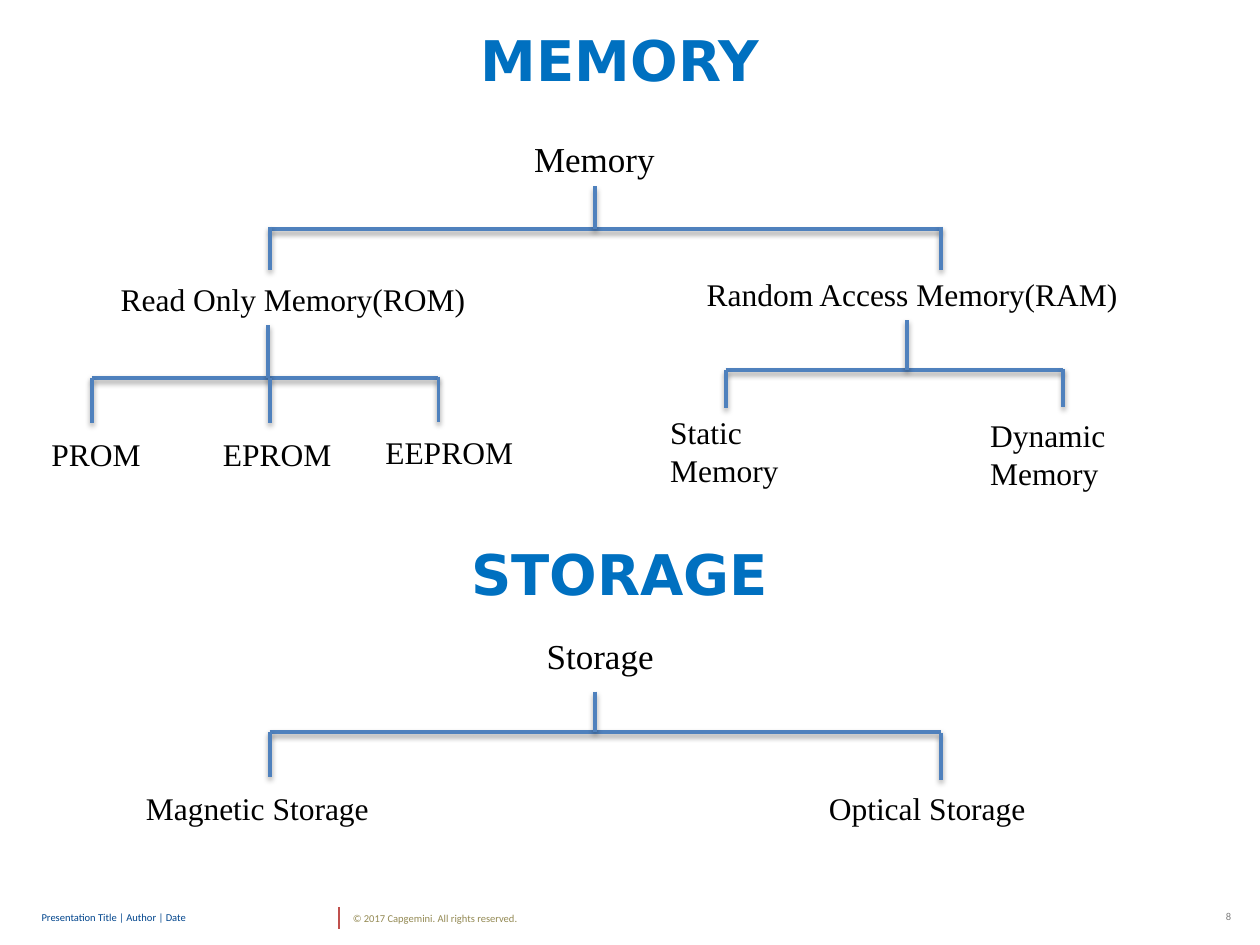
from lxml import etree
from pptx import Presentation
from pptx.dml.color import RGBColor
from pptx.enum.shapes import MSO_CONNECTOR
from pptx.enum.text import MSO_ANCHOR, MSO_AUTO_SIZE, PP_ALIGN
from pptx.oxml import parse_xml
from pptx.oxml.ns import nsdecls, qn
from pptx.util import Inches, Pt

STRAIGHT = MSO_CONNECTOR.STRAIGHT
TOP, MIDDLE = MSO_ANCHOR.TOP, MSO_ANCHOR.MIDDLE
LEFT, CENTER, RIGHT = PP_ALIGN.LEFT, PP_ALIGN.CENTER, PP_ALIGN.RIGHT

BLACK = RGBColor(0x00, 0x00, 0x00)
HEADING_BLUE = RGBColor(0x00, 0x70, 0xC0)
BRANCH_BLUE = RGBColor(0x4F, 0x81, 0xBD)
FOOTER_BLUE = RGBColor(0x00, 0x45, 0x8D)
FOOTER_OLIVE = RGBColor(0x94, 0x8A, 0x54)
FOOTER_RED = RGBColor(0xC0, 0x50, 0x4D)
PAGE_GRAY = RGBColor(0x80, 0x80, 0x80)

BRANCH_SHADOW = (
    f'<a:effectLst {nsdecls("a")}>'
    '<a:outerShdw blurRad="39370" dist="22860" dir="5400000" rotWithShape="0">'
    '<a:srgbClr val="000000"><a:alpha val="35000"/></a:srgbClr>'
    '</a:outerShdw></a:effectLst>'
)

prs = Presentation()
prs.slide_width, prs.slide_height = Inches(10), Inches(7.5)
slide = prs.slides.add_slide(prs.slide_layouts[5])


def write(shape, text, font_name, size, color, align=LEFT, anchor=TOP,
          bold=False, wrap=True, spacing=None):
    frame = shape.text_frame
    frame.word_wrap = wrap
    frame.auto_size = MSO_AUTO_SIZE.NONE
    frame.vertical_anchor = anchor
    paragraph = frame.paragraphs[0]
    paragraph.alignment = align
    if spacing:
        paragraph.line_spacing = spacing
    run = paragraph.add_run()
    run.text = text
    run.font.name, run.font.size, run.font.bold = font_name, Pt(size), bold
    run.font.color.rgb = color


def draw_line(x1, y1, x2, y2, color, width, shadow=True):
    line = slide.shapes.add_connector(
        STRAIGHT, Inches(x1), Inches(y1), Inches(x2), Inches(y2))
    line.line.color.rgb = color
    line.line.width = Pt(width)
    properties = line._element.spPr
    if shadow:
        properties.append(parse_xml(BRANCH_SHADOW))
    else:
        etree.SubElement(properties, qn("a:effectLst"))


# Headings
memory_heading = slide.shapes.title
memory_heading.left, memory_heading.top = Inches(0.42), Inches(0.21)
memory_heading.width, memory_heading.height = Inches(9), Inches(0.75)
write(memory_heading, "MEMORY", "DejaVu Sans", 32, HEADING_BLUE, CENTER,
      bold=True, spacing=0.9)
storage_heading = slide.shapes.add_textbox(
    Inches(0.42), Inches(4.17), Inches(9), Inches(0.76))
write(storage_heading, "STORAGE", "DejaVu Sans", 32, HEADING_BLUE, CENTER,
      MIDDLE, bold=True)

# Tree labels: text, left, top, width, height, size
labels = [
    ("Memory", 4.14, 1.04, 1.37, 0.44, 20),
    ("Read Only Memory(ROM)", 0.86, 2.17, 3, 0.4, 18),
    ("Random Access Memory(RAM)", 5.51, 2.13, 3.75, 0.4, 18),
    ("PROM", 0.31, 3.4, 1.08, 0.42, 18),
    ("EPROM", 1.67, 3.4, 1.08, 0.42, 18),
    ("EEPROM", 2.96, 3.39, 1.32, 0.4, 18),
    ("Static Memory", 5.22, 3.23, 1.08, 0.71, 18),
    ("Dynamic Memory", 7.76, 3.25, 1.33, 0.71, 18),
    ("Storage", 4.24, 4.99, 1.13, 0.44, 20),
    ("Magnetic Storage", 1.06, 6.21, 2.16, 0.4, 18),
    ("Optical Storage", 6.48, 6.21, 2.16, 0.4, 18),
]
for text, left, top, width, height, size in labels:
    label = slide.shapes.add_textbox(
        Inches(left), Inches(top), Inches(width), Inches(height))
    write(label, text, "Times New Roman", size, BLACK)

# Branches: stem x, stem top, bar y, and each drop as x, top, bottom
branches = [
    (4.72, 1.48, 1.82, [(2.14, 1.8, 2.14), (7.47, 1.8, 2.14)]),
    (2.13, 2.58, 3, [(0.73, 3, 3.36), (2.14, 3, 3.36), (3.48, 2.99, 3.35)]),
    (7.2, 2.54, 2.94, [(5.76, 2.94, 3.24), (8.44, 2.93, 3.23)]),
    (4.72, 5.49, 5.81, [(2.14, 5.81, 6.17), (7.47, 5.82, 6.19)]),
]
for stem_x, stem_top, bar_y, drops in branches:
    draw_line(drops[0][0], bar_y, drops[-1][0], bar_y, BRANCH_BLUE, 2.25)
    draw_line(stem_x, stem_top, stem_x, bar_y, BRANCH_BLUE, 2.25)
    for drop_x, drop_top, drop_bottom in drops:
        draw_line(drop_x, drop_top, drop_x, drop_bottom, BRANCH_BLUE, 2.25)

# Footer
draw_line(2.69, 7.2, 2.69, 7.37, FOOTER_RED, 1, shadow=False)
footers = [
    ("Presentation Title | Author | Date", 0.33, 2.32, FOOTER_BLUE, True, 0.85),
    ("© 2017 Capgemini. All rights reserved.", 2.8, 1.82, FOOTER_OLIVE, False,
     None),
]
for text, left, width, color, wrap, spacing in footers:
    footer = slide.shapes.add_textbox(
        Inches(left), Inches(7.17), Inches(width), Inches(0.24))
    frame = footer.text_frame
    frame.margin_left = frame.margin_right = 0
    frame.margin_top = frame.margin_bottom = 0
    write(footer, text, "Calibri", 6, color, anchor=MIDDLE, wrap=wrap,
          spacing=spacing)
page_number = slide.shapes.add_textbox(
    Inches(9.52), Inches(7.17), Inches(0.35), Inches(0.2))
write(page_number, "8", "Calibri", 6, PAGE_GRAY, RIGHT, wrap=False)

prs.save("out.pptx")
